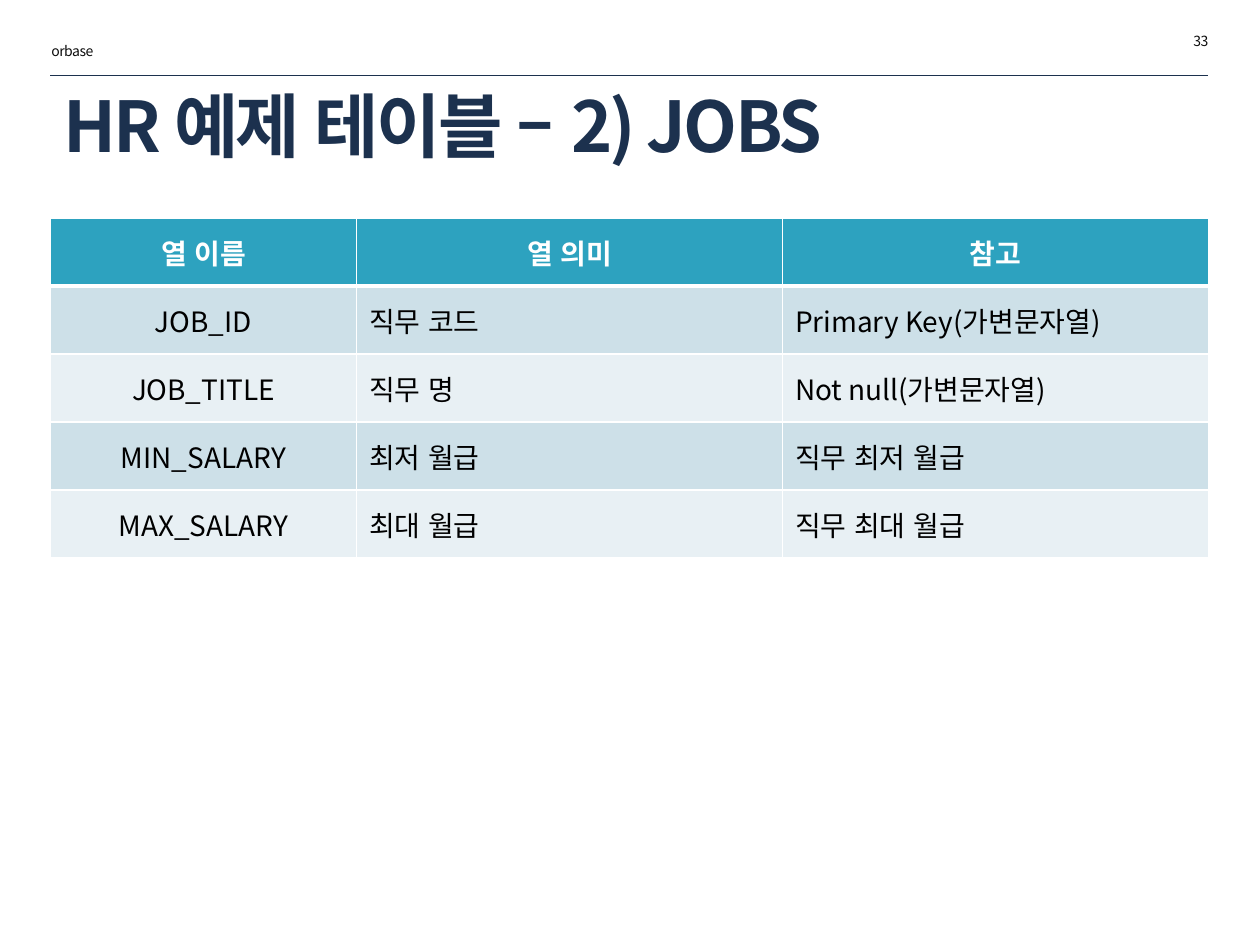
from lxml import etree
from pptx import Presentation
from pptx import util as u
from pptx.dml.color import RGBColor
from pptx.enum import shapes, text
from pptx.oxml import ns

FONT = "Noto Sans CJK KR"
HUES = {"navy": "1C314E", "ink": "0D0D0D", "head": "2DA2BF", "dark": "CDE0E8",
        "light": "E8F0F4", "white": "FFFFFF", "black": "000000"}
LEFT, RIGHT = text.PP_ALIGN.LEFT, text.PP_ALIGN.RIGHT
MID = text.PP_ALIGN.CENTER


def write(frame, words, size, hue, align=LEFT, bold=False, gap=0):
    para = frame.paragraphs[0]
    para.alignment = align
    run = para.add_run()
    run.text = words
    font = run.font
    font.name, font.size, font.bold = FONT, u.Pt(size), bold
    font.color.rgb = RGBColor.from_string(HUES[hue])
    props = run._r.get_or_add_rPr()
    props.set("lang", "ko-KR")
    if gap:
        props.set("spc", str(int(gap * 100)))
    etree.SubElement(props, ns.qn("a:ea"), typeface=FONT)


def edge(cell, side, width):
    props = cell._tc.get_or_add_tcPr()
    line = etree.SubElement(props, ns.qn("a:" + side), w=str(u.Pt(width)))
    fill = etree.SubElement(line, ns.qn("a:solidFill"))
    etree.SubElement(fill, ns.qn("a:srgbClr"), val=HUES["white"])


deck = Presentation()
deck.slide_width, deck.slide_height = u.Inches(10), u.Inches(7.5)
slide = deck.slides.add_slide(deck.slide_layouts[5])

rule = slide.shapes.add_connector(
    shapes.MSO_CONNECTOR.STRAIGHT,
    u.Inches(0.4), u.Inches(0.6), u.Inches(9.59), u.Inches(0.6))
rule.line.width = u.Pt(0.25)
rule.line.color.rgb = RGBColor.from_string(HUES["navy"])
etree.SubElement(rule._element.spPr, ns.qn("a:effectLst"))

title = slide.shapes.title
title.left, title.top = u.Inches(0.4), u.Inches(0.67)
title.width, title.height = u.Inches(9.31), u.Inches(0.64)
title.text_frame.auto_size = text.MSO_AUTO_SIZE.NONE
title.text_frame.vertical_anchor = text.MSO_ANCHOR.MIDDLE
write(title.text_frame, "HR 예제 테이블 – 2) JOBS", 40, "navy", bold=True, gap=-1.5)

for words, left, top, align in [("33", 7.96, 0.21, RIGHT), ("orbase", 0.31, 0.29, LEFT)]:
    box = slide.shapes.add_textbox(
        u.Inches(left), u.Inches(top), u.Inches(1.73), u.Inches(0.24))
    box.text_frame.word_wrap = True
    box.text_frame.auto_size = text.MSO_AUTO_SIZE.SHAPE_TO_FIT_TEXT
    write(box.text_frame, words, 8, "ink", align, gap=-0.3)

rows = [
    ("열 이름", "열 의미", "참고"),
    ("JOB_ID", "직무 코드", "Primary Key(가변문자열)"),
    ("JOB_TITLE", "직무 명", "Not null(가변문자열)"),
    ("MIN_SALARY", "최저 월급", "직무 최저 월급"),
    ("MAX_SALARY", "최대 월급", "직무 최대 월급"),
]
grid = slide.shapes.add_table(
    len(rows), 3, u.Inches(0.4), u.Inches(1.73), u.Inches(9.19), u.Inches(2.71)).table
for col, width in zip(grid.columns, (2.43, 3.38, 3.38)):
    col.width = u.Inches(width)

for r, row in enumerate(rows):
    grid.rows[r].height = u.Inches(0.54)
    top = r == 0
    shade = "head" if top else ("light", "dark")[r % 2]
    for c, words in enumerate(row):
        cell = grid.cell(r, c)
        cell.vertical_anchor = text.MSO_ANCHOR.MIDDLE
        for side in ("lnL", "lnR", "lnT", "lnB"):
            thick = (r, side) in ((0, "lnB"), (1, "lnT"))
            edge(cell, side, 3 if thick else 1)
        cell.fill.solid()
        cell.fill.fore_color.rgb = RGBColor.from_string(HUES[shade])
        write(cell.text_frame, words, 16, "white" if top else "black",
              MID if top or c == 0 else LEFT, bold=top)

deck.save("out.pptx")
